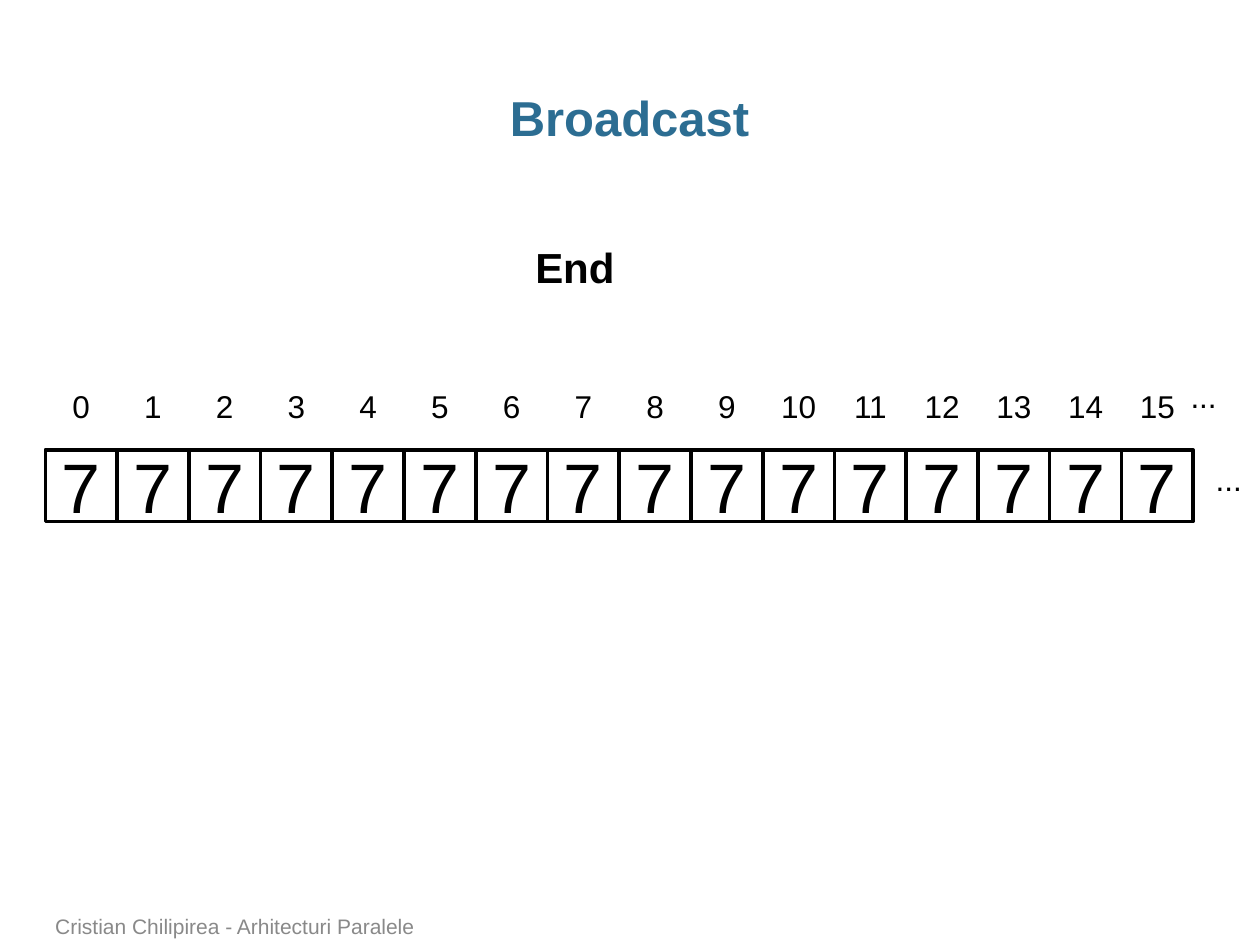
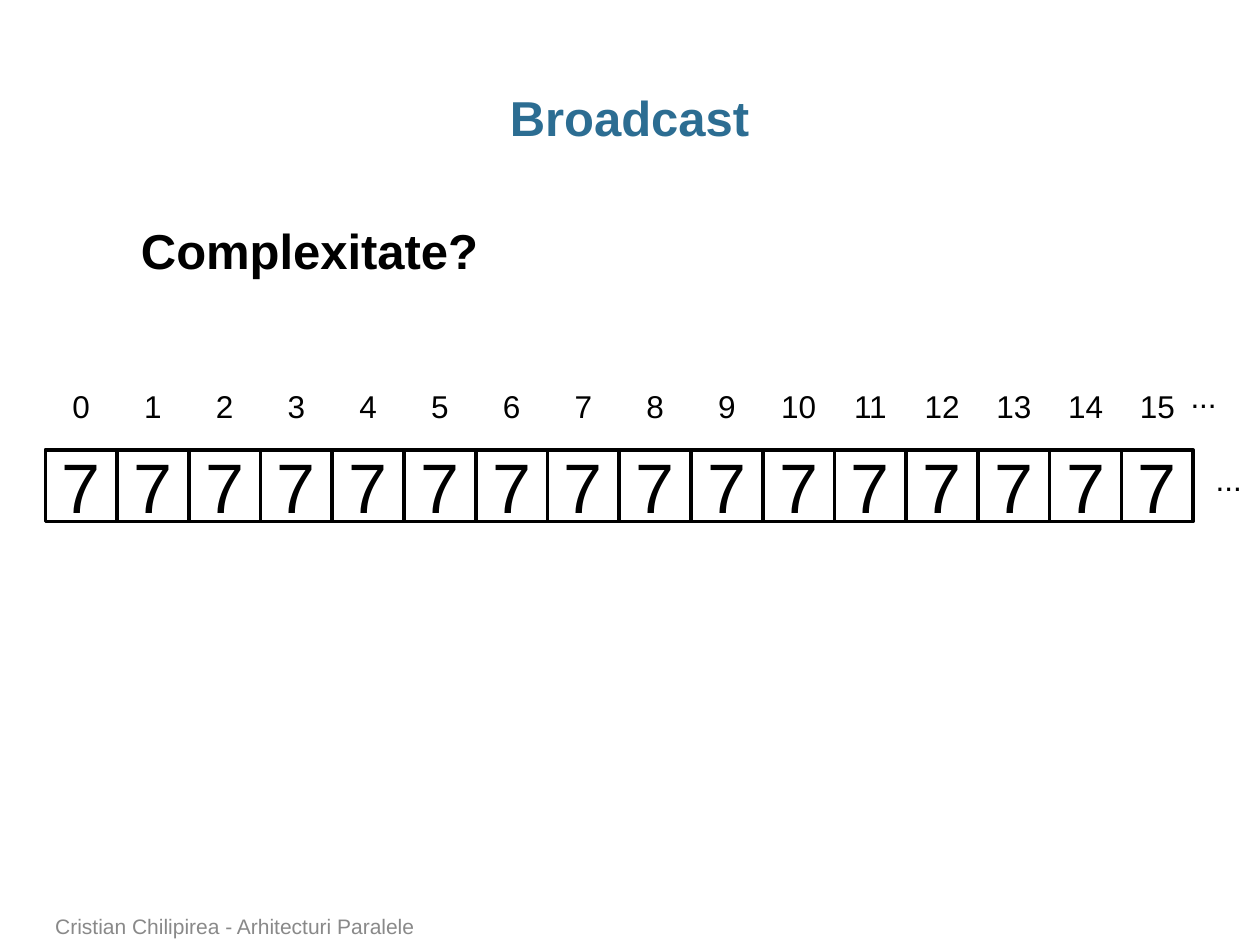
from pptx import Presentation
from pptx.dml.color import RGBColor
from pptx.enum.shapes import MSO_SHAPE
from pptx.enum.text import MSO_ANCHOR, MSO_AUTO_SIZE, PP_ALIGN
from pptx.util import Inches, Pt

RECTANGLE = MSO_SHAPE.RECTANGLE
TOP, MIDDLE, BOTTOM = MSO_ANCHOR.TOP, MSO_ANCHOR.MIDDLE, MSO_ANCHOR.BOTTOM
LEFT, CENTER = PP_ALIGN.LEFT, PP_ALIGN.CENTER
FIT_SHAPE = MSO_AUTO_SIZE.SHAPE_TO_FIT_TEXT

FONT = "Arial"
BLACK = RGBColor(0x00, 0x00, 0x00)
TITLE_BLUE = RGBColor(0x2C, 0x6D, 0x92)
FOOTER_GRAY = RGBColor(0x89, 0x89, 0x89)

TITLE_BOX = (0.34, 0.68, 9.31, 0.5)
FOOTER_BOX = (0.34, 7.22, 7.37, 0.28)
ARRAY_BOX = (0.36, 3.02, 9.11, 1.12)
VALUES = ["7"] * 16


def write(frame, text, size=18, color=BLACK, bold=False, align=LEFT,
          anchor=TOP, wrap=True, line_spacing=None):
    frame.word_wrap = wrap
    frame.vertical_anchor = anchor
    paragraph = frame.paragraphs[0]
    paragraph.alignment = align
    paragraph.line_spacing = line_spacing
    run = paragraph.add_run()
    run.text = text
    run.font.name = FONT
    run.font.size = Pt(size)
    run.font.bold = bold
    run.font.color.rgb = color


def add_text(slide, box, text, **text_format):
    frame = slide.shapes.add_textbox(*map(Inches, box)).text_frame
    write(frame, text, **text_format)
    return frame


def add_label(slide, box, text, **text_format):
    frame = add_text(slide, box, text, wrap=False, **text_format)
    frame.auto_size = FIT_SHAPE


def add_title(slide, box, text):
    title = add_text(slide, box, text, size=28, color=TITLE_BLUE, bold=True,
                     align=CENTER, line_spacing=0.95)
    title.margin_left = title.margin_right = 0


def add_footer(slide, box, text):
    add_text(slide, box, text, size=12, color=FOOTER_GRAY, anchor=BOTTOM)


def add_cell(slide, box, value):
    cell = slide.shapes.add_shape(RECTANGLE, *map(Inches, box))
    cell.shadow.inherit = False
    cell.fill.background()
    cell.line.color.rgb = BLACK
    cell.line.width = Pt(2)
    write(cell.text_frame, value, size=40, align=CENTER, anchor=MIDDLE)


def add_array(slide, box, values):
    left, top, width, height = box
    side = width / len(values)
    cells_top = top + height - side
    for index, value in enumerate(values):
        cell_left = left + index * side
        add_cell(slide, (cell_left, cells_top, side, side), value)
        label = str(index)
        label_width = 0.2 + 0.14 * len(label)
        label_left = cell_left + (side - label_width) / 2
        add_label(slide, (label_left, top, label_width, 0.4), label,
                  align=CENTER)
    right = left + width
    add_label(slide, (right - 0.12, top - 0.08, 0.41, 0.4), "...")
    add_label(slide, (right + 0.08, cells_top + 0.03, 0.41, 0.4), "...")


def add_broadcast_slide(deck, caption, caption_box, caption_size):
    slide = deck.slides.add_slide(deck.slide_layouts[6])
    add_title(slide, TITLE_BOX, "Broadcast")
    add_array(slide, ARRAY_BOX, VALUES)
    add_label(slide, caption_box, caption, size=caption_size, bold=True)
    add_footer(slide, FOOTER_BOX, "Cristian Chilipirea - Arhitecturi Paralele")


def main():
    deck = Presentation()
    deck.slide_width = Inches(10)
    deck.slide_height = Inches(7.5)
    add_broadcast_slide(deck, "End", (4.15, 1.87, 0.84, 0.5), 24)
    add_broadcast_slide(deck, "Complexitate?", (1.02, 1.7, 2.91, 0.57), 28)
    deck.save("out.pptx")


if __name__ == "__main__":
    main()
